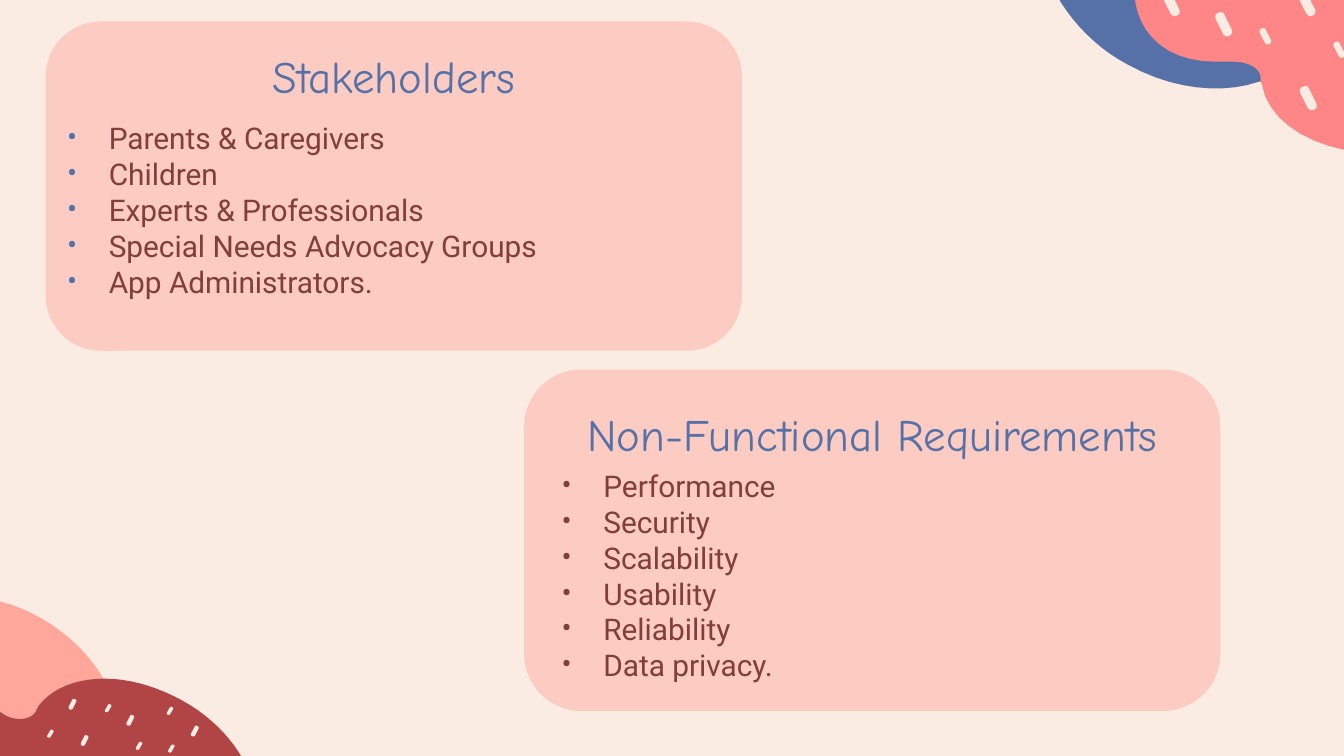
from dataclasses import dataclass

from lxml.etree import SubElement
from pptx import Presentation
from pptx.dml.color import RGBColor
from pptx.enum.shapes import MSO_SHAPE
from pptx.enum.text import MSO_ANCHOR, PP_ALIGN
from pptx.oxml.ns import qn
from pptx.util import Inches, Pt


@dataclass(frozen=True)
class Theme:
    cream: str = "FAECE3"
    peach: str = "FFA79B"
    coral: str = "FF8687"
    wine: str = "B14545"
    blue: str = "5571A7"
    brown: str = "813E3B"
    head_font: str = "Comic Neue"
    body_font: str = "Roboto"
    head_size: float = 24
    body_size: float = 16
    card_alpha: int = 47


THEME = Theme()

# Each blob: colour, start point, then lines (x, y) and curves (six numbers).
PEACH_BLOB = (THEME.peach, (-1.34, 4.39), [
    (-1.47, 4.39, -1.59, 4.44, -1.7, 4.53),
    (-1.92, 4.73, -1.84, 5.12, -1.51, 5.42),
    (-1.46, 5.47, -1.42, 5.52, -1.42, 5.57),
    (-1.38, 5.85, -1.19, 6.15, -0.87, 6.38),
    (-0.66, 6.53, -0.4, 6.62, -0.17, 6.63),
    (0.86, 5.26),
    (0.81, 5.09, 0.7, 4.91, 0.53, 4.76),
    (0.3, 4.56, 0.03, 4.45, -0.21, 4.45),
    (-0.36, 4.45, -0.49, 4.5, -0.58, 4.59),
    (-0.6, 4.6, -0.61, 4.61, -0.62, 4.62),
    (-0.64, 4.65, -0.67, 4.66, -0.71, 4.66),
    (-0.76, 4.66, -0.82, 4.64, -0.87, 4.6),
    (-1.04, 4.45, -1.2, 4.39, -1.34, 4.39),
])
WINE_BLOB = (THEME.wine, (0.78, 5.05), [
    (0.57, 5.05, 0.39, 5.12, 0.29, 5.25),
    (0.28, 5.27, 0.27, 5.28, 0.27, 5.29),
    (0.25, 5.33, 0.2, 5.35, 0.15, 5.35),
    (0.11, 5.35, 0.06, 5.34, 0.02, 5.31),
    (-0.14, 5.21, -0.28, 5.17, -0.41, 5.17),
    (-0.57, 5.17, -0.71, 5.24, -0.82, 5.37),
    (-1, 5.59, -0.86, 5.98, -0.5, 6.21),
    (-0.43, 6.26, -0.39, 6.3, -0.38, 6.35),
    (-0.3, 6.62, -0.06, 6.89, 0.29, 7.07),
    (0.47, 7.16, 0.69, 7.21, 0.88, 7.21),
    (1.02, 7.2),
    (1.83, 5.69),
    (1.75, 5.53, 1.61, 5.37, 1.42, 5.25),
    (1.21, 5.12, 0.98, 5.05, 0.78, 5.05),
])
BLUE_BLOB = (THEME.blue, (10.39, 0.03), [
    (10.44, 0.15, 10.45, 0.28, 10.42, 0.41),
    (10.34, 0.69, 9.94, 0.8, 9.54, 0.63),
    (9.47, 0.6, 9.41, 0.6, 9.36, 0.61),
    (9.1, 0.7, 8.73, 0.67, 8.39, 0.48),
    (8.16, 0.36, 7.97, 0.16, 7.86, -0.04),
    (8.64, -1.57),
    (8.81, -1.6, 9.02, -1.58, 9.23, -1.49),
    (9.51, -1.37, 9.73, -1.17, 9.83, -0.96),
    (9.89, -0.83, 9.91, -0.69, 9.87, -0.57),
    (9.84, -0.49, 9.85, -0.46, 9.86, -0.42),
    (9.88, -0.38, 9.93, -0.33, 9.99, -0.31),
    (10.2, -0.22, 10.32, -0.1, 10.39, 0.03),
])
CORAL_BLOB = (THEME.coral, (10.26, 1.14), [
    (10.3, 1.14, 10.34, 1.14, 10.39, 1.14),
    (10.62, 1.12, 10.81, 1.04, 10.95, 0.93),
    (10.91, -0.78),
    (10.72, -0.91, 10.46, -0.99, 10.2, -0.99),
    (9.8, -0.99, 9.47, -0.86, 9.28, -0.65),
    (9.25, -0.62, 9.19, -0.59, 9.12, -0.59),
    (8.68, -0.54, 8.38, -0.26, 8.45, 0.03),
    (8.5, 0.28, 8.7, 0.46, 9.05, 0.46),
    (9.08, 0.46, 9.12, 0.46, 9.18, 0.46),
    (9.29, 0.46, 9.38, 0.51, 9.38, 0.58),
    (9.38, 0.6, 9.38, 0.61, 9.39, 0.63),
    (9.44, 0.93, 9.82, 1.14, 10.26, 1.14),
])

# Seeds as (left, top), grouped by (width, height).
LEFT_SEEDS = {
    (0.05, 0.06): [(1.24, 5.26), (0.35, 5.43), (1.01, 5.52),
                   (0.78, 5.24), (1.25, 5.54)],
    (0.06, 0.08): [(0.94, 5.32), (0.51, 5.2), (1.42, 5.4), (0.6, 5.47)],
}
RIGHT_SEEDS = {
    (0.13, 0.18): [(8.65, -0.06), (9.66, -0.06), (9.67, 0.64), (9.04, 0.09)],
    (0.09, 0.12): [(9.37, 0.21), (9.92, 0.31)],
}
# Outline of a seed that leans left, in shares of its box.
SEED = [(0.62, 1), (0.72, 1), (0.9, 0.95), (0.98, 0.87), (0.97, 0.74),
        (0.52, 0.08), (0.42, 0), (0.3, 0), (0.12, 0.05), (0.02, 0.13),
        (0.03, 0.27), (0.48, 0.92)]


def tint(name):
    return RGBColor.from_string(name)


def paint(shape, color):
    shape.shadow.inherit = False
    shape.fill.solid()
    shape.fill.fore_color.rgb = tint(color)
    shape.line.fill.background()


def outline(slide, points, color):
    dots = [(Inches(x), Inches(y)) for x, y in points]
    pen = slide.shapes.build_freeform(*dots[0], scale=1.0)
    pen.add_line_segments(dots[1:], close=True)
    paint(pen.convert_to_shape(), color)


def blob(slide, color, start, parts, steps=10):
    """Draw lines and cubic curves as one closed outline."""
    points = [start]
    for part in parts:
        if len(part) == 2:
            points.append(part)
            continue
        nodes = [points[-1], part[:2], part[2:4], part[4:]]
        for step in range(1, steps + 1):
            t = step / steps
            u = 1 - t
            rates = (u**3, 3 * u * u * t, 3 * u * t * t, t**3)
            points.append(tuple(
                sum(rate * node[axis] for rate, node in zip(rates, nodes))
                for axis in (0, 1)))
    outline(slide, points, color)


def sow(slide, seeds, mirror=False):
    for (wide, high), spots in seeds.items():
        for left, top in spots:
            outline(slide, [(left + wide * (1 - x if mirror else x),
                             top + high * y) for x, y in SEED], THEME.cream)


def card(slide, *box):
    shape = slide.shapes.add_shape(MSO_SHAPE.ROUNDED_RECTANGLE, *map(Inches, box))
    shape.adjustments[0] = 0.167
    paint(shape, THEME.peach)
    shade = shape.fill._xPr.find(".//" + qn("a:srgbClr"))
    SubElement(shade, qn("a:alpha"), val=str(THEME.card_alpha * 1000))


def frame(slide, box):
    text = slide.shapes.add_textbox(*map(Inches, box)).text_frame
    text.word_wrap = True
    text.vertical_anchor = MSO_ANCHOR.MIDDLE
    text.margin_left = text.margin_right = 0
    text.margin_top = text.margin_bottom = 0
    return text


def write(para, words, font, size, color):
    run = para.add_run()
    run.text = words
    run.font.name = font
    run.font.size = Pt(size)
    run.font.color.rgb = tint(color)


def title(slide, words, *box):
    para = frame(slide, box).paragraphs[0]
    para.alignment = PP_ALIGN.CENTER
    write(para, words, THEME.head_font, THEME.head_size, THEME.blue)


def bullets(slide, items, dot, *box):
    text = frame(slide, box)
    for rank, item in enumerate(items):
        para = text.add_paragraph() if rank else text.paragraphs[0]
        props = para._p.get_or_add_pPr()
        props.set("marL", str(Inches(0.31)))
        props.set("indent", str(-Inches(0.31)))
        SubElement(SubElement(props, qn("a:buClr")), qn("a:srgbClr"), val=dot)
        SubElement(props, qn("a:buFont"), typeface=THEME.body_font)
        SubElement(props, qn("a:buChar"), char="•")
        write(para, item, THEME.body_font, THEME.body_size, THEME.brown)


def main():
    deck = Presentation()
    deck.slide_width = Inches(10)
    deck.slide_height = deck.slide_width * 9 // 16
    slide = deck.slides.add_slide(deck.slide_layouts[6])
    slide.background.fill.solid()
    slide.background.fill.fore_color.rgb = tint(THEME.cream)

    for shape in (PEACH_BLOB, WINE_BLOB, BLUE_BLOB, CORAL_BLOB):
        blob(slide, *shape)
    sow(slide, LEFT_SEEDS, mirror=True)
    sow(slide, RIGHT_SEEDS)

    card(slide, 0.34, 0.16, 5.18, 2.45)
    title(slide, "Stakeholders", 1.76, 0.3, 2.34, 0.53)
    bullets(slide, ["Parents & Caregivers", "Children", "Experts & Professionals",
                    "Special Needs Advocacy Groups", "App Administrators."],
            THEME.blue, 0.5, 0.97, 4.43, 1.18)

    card(slide, 3.9, 2.75, 5.18, 2.54)
    title(slide, "Non-Functional Requirements", 4.02, 2.96, 4.94, 0.53)
    bullets(slide, ["Performance", "Security", "Scalability", "Usability",
                    "Reliability", "Data privacy."],
            THEME.brown, 4.18, 3.69, 3.36, 1.18)
    deck.save("out.pptx")


if __name__ == "__main__":
    main()
